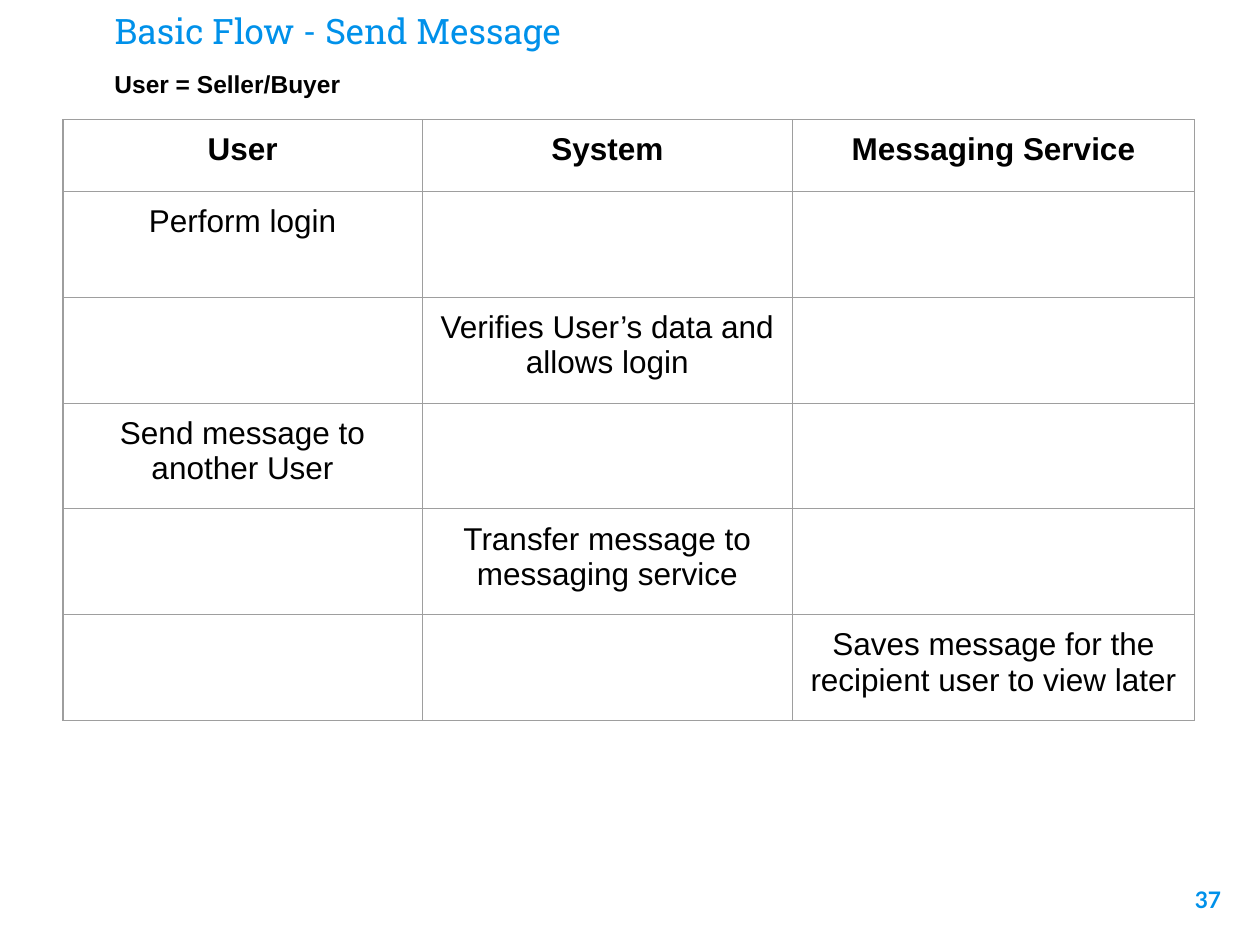
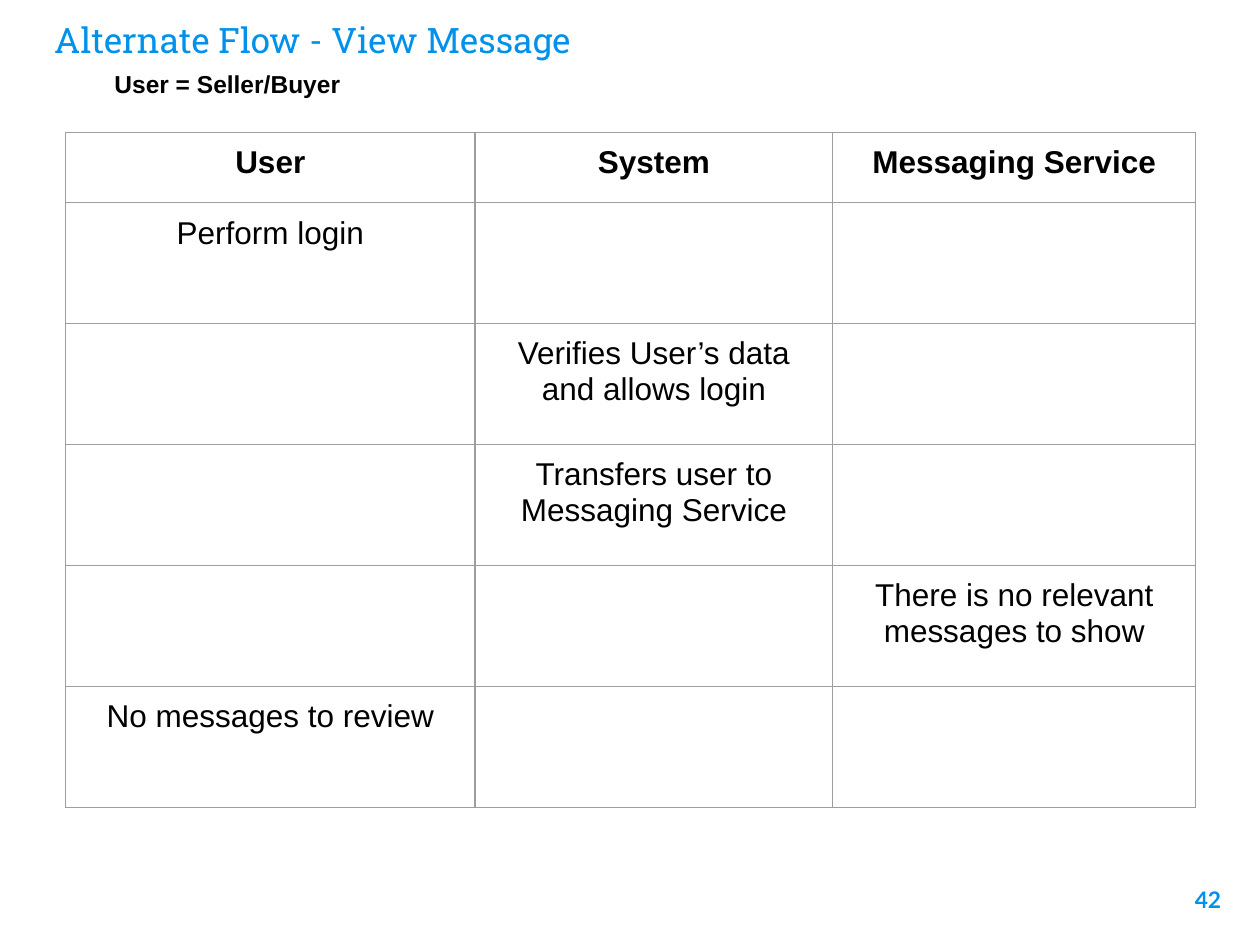
import lxml.etree
import pptx
import pptx.dml.color
import pptx.enum.text
import pptx.oxml.ns
import pptx.util

ALIGN = pptx.enum.text.PP_ALIGN
ANCHOR = pptx.enum.text.MSO_ANCHOR
EMU_PER_PX = 9144  # 100 px to the inch
INSET = 10
BLUE, BLACK, GRAY, WHITE = "0091EA", "000000", "9E9E9E", "FFFFFF"
HEADINGS = ["User", "System", "Messaging Service"]
USER, SYSTEM, SERVICE = range(3)

FLOWS = [
    {
        "title": "Basic Flow - Send Message",
        "title_box": (81, 0, 828, 51),
        "title_anchor": ANCHOR.BOTTOM,
        "number": "37",
        "table_corner": (50, 95),
        "columns": [285, 294, 319],
        "heading_height": 57,
        "step_height": 84,
        "steps": [
            (USER, "Perform login"),
            (SYSTEM, "Verifies User’s data and allows login"),
            (USER, "Send message to another User"),
            (SYSTEM, "Transfer message to messaging service"),
            (SERVICE, "Saves message for the recipient user to view later"),
        ],
    },
    {
        "title": "Alternate Flow - View Message",
        "title_box": (33, 0, 979, 62),
        "title_anchor": ANCHOR.MIDDLE,
        "number": "42",
        "table_corner": (52, 105),
        "columns": [325, 284, 288],
        "heading_height": 56,
        "step_height": 96,
        "steps": [
            (USER, "Perform login"),
            (SYSTEM, "Verifies User’s data and allows login"),
            (SYSTEM, "Transfers user to Messaging Service"),
            (SERVICE, "There is no relevant messages to show"),
            (USER, "No messages to review"),
        ],
    },
]


def px(length):
    return pptx.util.Emu(length * EMU_PER_PX)


def color(value):
    return pptx.dml.color.RGBColor.from_string(value)


def set_margins(target):
    """Give a text frame or a table cell the shared inset on all sides."""
    target.margin_left = target.margin_right = px(INSET)
    target.margin_top = target.margin_bottom = px(INSET)


def set_borders(cell):
    properties = cell._tc.get_or_add_tcPr()
    for edge in ("a:lnL", "a:lnR", "a:lnT", "a:lnB"):
        line = lxml.etree.SubElement(
            properties, pptx.oxml.ns.qn(edge), w=str(pptx.util.Pt(0.75)))
        fill = lxml.etree.SubElement(line, pptx.oxml.ns.qn("a:solidFill"))
        lxml.etree.SubElement(fill, pptx.oxml.ns.qn("a:srgbClr"), val=GRAY)


class FlowDeck:
    """Holds the shared style and the slide being filled."""

    def __init__(self):
        self.presentation = pptx.Presentation()
        self.presentation.slide_width = px(1000)
        self.presentation.slide_height = px(750)
        self.slide = None

    def add_slide(self):
        layout = self.presentation.slide_layouts.get_by_name("Title Only")
        self.slide = self.presentation.slides.add_slide(layout)
        background = self.slide.background.fill
        background.solid()
        background.fore_color.rgb = color(WHITE)

    def add_run(self, frame, text, size, font="Arial", shade=BLACK,
                bold=False, align=ALIGN.LEFT):
        paragraph = frame.paragraphs[0]
        paragraph.alignment = align
        run = paragraph.add_run()
        run.text = text
        run.font.name = font
        run.font.size = pptx.util.Pt(size)
        run.font.bold = bold
        run.font.color.rgb = color(shade)

    def prepare_frame(self, shape, anchor):
        frame = shape.text_frame
        frame.word_wrap = True
        frame.auto_size = pptx.enum.text.MSO_AUTO_SIZE.NONE
        frame.vertical_anchor = anchor
        set_margins(frame)
        return frame

    def title(self, text, box, anchor):
        shape = self.slide.shapes.title
        shape.left, shape.top, shape.width, shape.height = map(px, box)
        frame = self.prepare_frame(shape, anchor)
        self.add_run(frame, text, 20, "Roboto Slab", BLUE)

    def text(self, text, box, size, **style):
        shape = self.slide.shapes.add_textbox(*map(px, box))
        frame = self.prepare_frame(shape, ANCHOR.TOP)
        self.add_run(frame, text, size, bold=True, **style)

    def cell(self, cell, text, bold):
        set_margins(cell)
        set_borders(cell)
        cell.fill.background()
        if text:
            self.add_run(cell.text_frame, text, 18, bold=bold,
                         align=ALIGN.CENTER)

    def flow_table(self, corner, columns, heading_height, step_height, steps):
        """Draw one row per step, with its text in the column of its actor."""
        heights = [heading_height] + [step_height] * len(steps)
        box = (*corner, sum(columns), sum(heights))
        table = self.slide.shapes.add_table(
            len(heights), len(columns), *map(px, box)).table
        table.first_row = table.horz_banding = False
        for column, width in zip(table.columns, columns):
            column.width = px(width)
        for row, height in zip(table.rows, heights):
            row.height = px(height)
        contents = [HEADINGS] + [
            [text if column == actor else "" for column in range(len(columns))]
            for actor, text in steps]
        for row_index, texts in enumerate(contents):
            for column_index, text in enumerate(texts):
                self.cell(table.cell(row_index, column_index), text,
                          bold=row_index == 0)

    def add_flow(self, flow):
        self.add_slide()
        self.title(flow["title"], flow["title_box"], flow["title_anchor"])
        self.text(flow["number"], (919, 693, 60, 57), 13,
                  font="Lato", shade=BLUE, align=ALIGN.RIGHT)
        self.flow_table(flow["table_corner"], flow["columns"],
                        flow["heading_height"], flow["step_height"],
                        flow["steps"])
        self.text("User = Seller/Buyer", (81, 45, 540, 40), 14)


def main():
    deck = FlowDeck()
    for flow in FLOWS:
        deck.add_flow(flow)
    deck.presentation.save("out.pptx")


if __name__ == "__main__":
    main()
